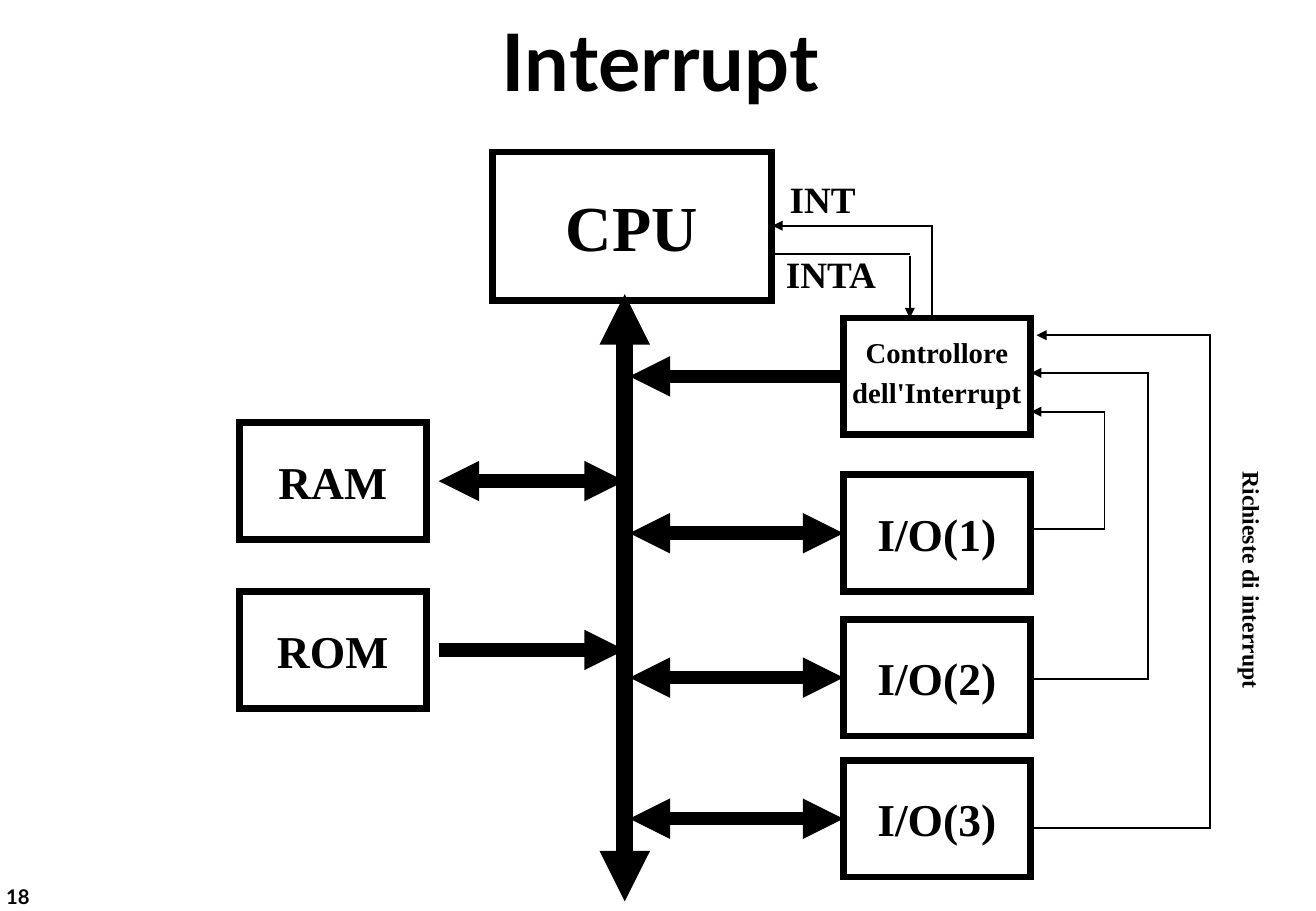
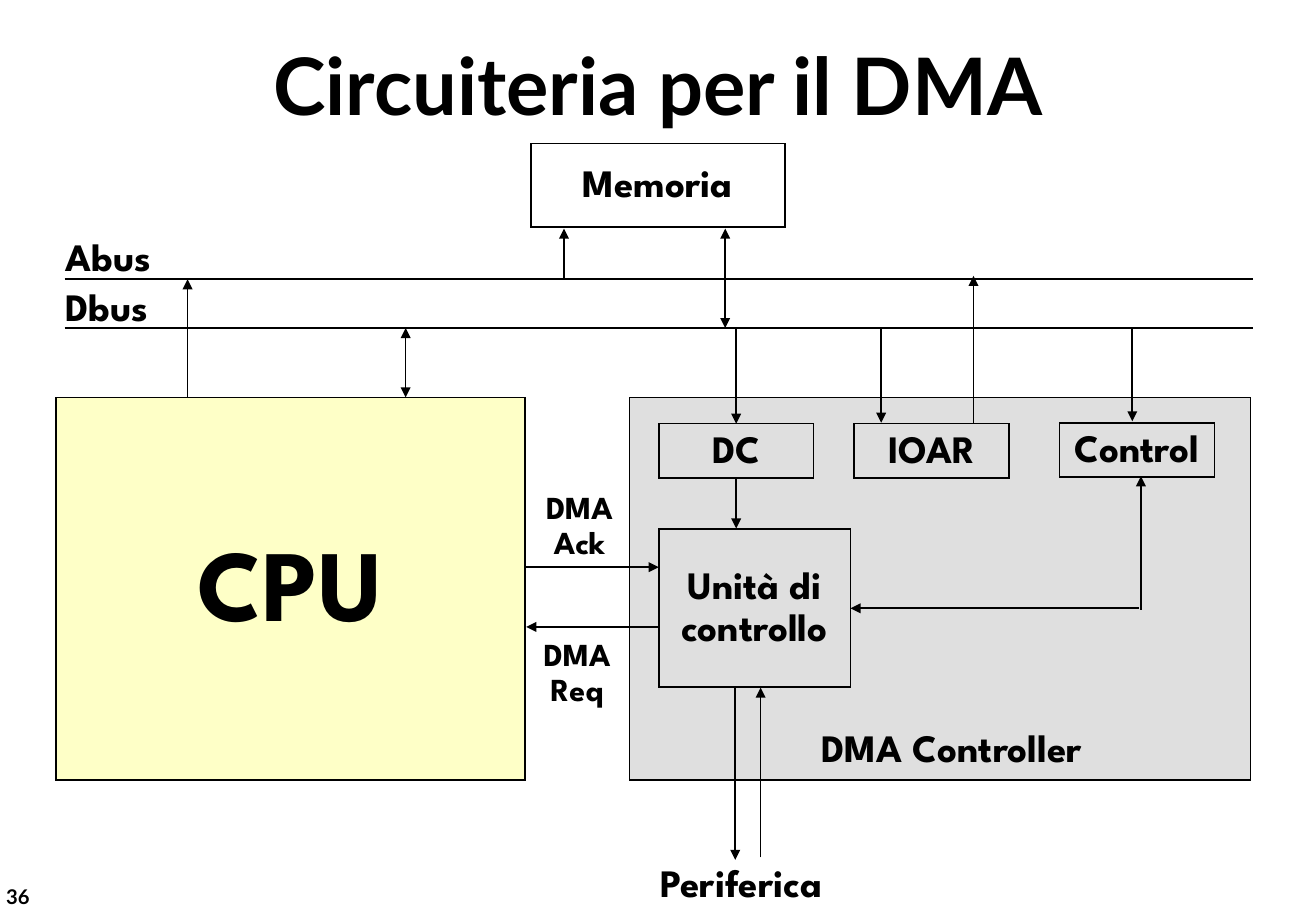
from pptx import Presentation
from pptx.dml.color import RGBColor
from pptx.enum.shapes import MSO_CONNECTOR, MSO_SHAPE
from pptx.enum.text import MSO_ANCHOR, PP_ALIGN
from pptx.oxml.ns import qn
from pptx.util import Cm, Pt
from lxml.etree import SubElement

COLORS = {"ink": "000000", "cpu": "FEFFC7", "controller": "DFDFDF"}
SANS, SERIF, DIAGRAM = "Lato", "Times New Roman", "League Spartan"
TOP, LEFT, BOTTOM, RIGHT = range(4)
NARROW, WIDE = (0.13, 0.05), (0.25, 0.13)

# Interrupt slide: positions in cm
BLOCK_WIDTH, BLOCK_HEIGHT = 3.91, 2.44
MEMORY_LEFT, DEVICE_LEFT = 5, 17.63
MEMORIES = {"RAM": 8.84, "ROM": 12.37}
CONTROLLER = "Controllore\ndell'Interrupt"
DEVICES = {CONTROLLER: 6.65, "I/O(1)": 9.93, "I/O(2)": 12.95, "I/O(3)": 15.9}
BUS_X = 13.06
ARROW_ENDS = {"RAM": "both", "ROM": "end", CONTROLLER: "start",
              "I/O(1)": "both", "I/O(2)": "both", "I/O(3)": "both"}
# start x, start y, outer x, end y, end x
REQUESTS = [
    (21.6, 11.07, 23.09, 8.61, 21.56),
    (21.51, 14.2, 24, 7.8, 21.56),
    (21.59, 17.32, 25.3, 7.01, 21.67),
]
INT_PATH = [(19.48, 6.63), (19.48, 4.72), (16.15, 4.72)]
INTERRUPT_LABELS = [
    ("INT", (16.26, 3.56, 4.24, 1.17), 22),
    ("INTA", (16.18, 5.13, 4.24, 1.17), 22),
]

# DMA slide: text, (left, top, width, height) in cm, size, fill
DMA_BOXES = [
    ("", (13.16, 8.31, 12.98, 8), 23, "controller"),
    ("CPU", (1.17, 8.31, 9.8, 8), 60, "cpu"),
    ("Memoria", (11.1, 3, 5.31, 1.75), 23, None),
    ("DC", (13.77, 8.86, 3.24, 1.14), 23, None),
    ("IOAR", (17.86, 8.86, 3.24, 1.14), 23, None),
    ("Control", (22.15, 8.84, 3.24, 1.14), 23, None),
    ("Unità di\vcontrollo", (13.77, 11.07, 4.01, 3.3), 23, None),
]
DMA_LABELS = [
    ("Abus", (1.12, 4.85, 2.51, 1.12), 23),
    ("Dbus", (1.12, 5.89, 2.51, 1.12), 23),
    ("Periferica", (13.56, 17.93, 4.19, 1.12), 23),
    ("DMA Controller", (16.92, 15.11, 6.55, 1.12), 23),
    ("DMA\vAck", (11.1, 10.16, 2.03, 1.7), 19),
    ("DMA\vReq", (11.05, 13.23, 2.03, 1.7), 19),
]
ABUS_Y, DBUS_Y = 5.84, 6.86
# each end is a point in cm or (box text, connection site)
DMA_LINES = [
    ((1.35, ABUS_Y), (26.19, ABUS_Y), None),
    ((1.35, DBUS_Y), (26.19, DBUS_Y), None),
    ((11.79, ABUS_Y), (11.79, 4.78), "end"),
    ((15.16, 4.78), (15.16, DBUS_Y), "both"),
    ((3.92, 8.31), (3.92, ABUS_Y), "end"),
    ((8.48, 8.31), (8.48, DBUS_Y), "both"),
    ((15.39, DBUS_Y), ("DC", TOP), "end"),
    (("DC", BOTTOM), (15.39, 11.05), "end"),
    ((18.42, DBUS_Y), (18.42, 8.84), "end"),
    ((20.35, 8.86), (20.35, 5.77), "end"),
    ((23.67, DBUS_Y), (23.67, 8.81), "end"),
    ((23.85, 12.75), (23.85, 9.96), "end"),
    ((23.8, 12.72), ("Unità di\vcontrollo", RIGHT), "end"),
    ((11, 11.86), (13.77, 11.86), "end"),
    ((13.77, 13.11), (11, 13.11), "end"),
    ((15.37, 14.38), (15.37, 17.98), "end"),
    ((15.9, 17.93), (15.9, 14.38), "end"),
]


def color(name):
    return RGBColor.from_string(COLORS[name])


def write(shape, text, size, font, align=PP_ALIGN.LEFT, inset=WIDE, spacing=None, after=0,
          wrap=False):
    frame = shape.text_frame
    frame.text = text
    frame.word_wrap = wrap
    frame.margin_left = frame.margin_right = Cm(inset[0])
    frame.margin_top = frame.margin_bottom = Cm(inset[1])
    for paragraph in frame.paragraphs:
        paragraph.alignment = align
        paragraph.space_after = Pt(after)
        if spacing:
            paragraph.line_spacing = spacing
        for run in paragraph.runs:
            run.font.name, run.font.size, run.font.bold = font, Pt(size), True
            run.font.color.rgb = color("ink")


def add_label(slide, text, place, size, font, **style):
    label = slide.shapes.add_textbox(*map(Cm, place))
    write(label, text, size, font, **style)
    return label


def style_line(shape, width, arrows=None):
    """Set a black line with sharp corners and arrowheads at start, end or both."""
    shape.line.color.rgb = color("ink")
    shape.line.width = Pt(width)
    line = shape._element.spPr.find(qn("a:ln"))
    SubElement(line, qn("a:miter"), lim="800000")
    for tag, names in (("a:headEnd", ("start", "both")), ("a:tailEnd", ("end", "both"))):
        if arrows in names:
            SubElement(line, qn(tag), type="triangle")


def add_box(slide, text, place, size, font, line_width, fill=None, **style):
    box = slide.shapes.add_shape(MSO_SHAPE.RECTANGLE, *map(Cm, place))
    box.shadow.inherit = False
    if fill:
        box.fill.solid()
        box.fill.fore_color.rgb = color(fill)
    else:
        box.fill.background()
    style_line(box, line_width)
    if text:
        write(box, text, size, font, align=PP_ALIGN.CENTER, **style)
        box.text_frame.vertical_anchor = MSO_ANCHOR.MIDDLE
    return box


def locate(end, boxes):
    """Return the point of a line end, plus the box and site it joins, if any."""
    if end[0] not in boxes:
        return Cm(end[0]), Cm(end[1]), None
    box, site = boxes[end[0]], end[1]
    x = box.left + {LEFT: 0, RIGHT: box.width}.get(site, box.width // 2)
    y = box.top + {TOP: 0, BOTTOM: box.height}.get(site, box.height // 2)
    return x, y, (box, site)


def add_line(slide, start, end, width, arrows=None, boxes=()):
    start_x, start_y, start_joint = locate(start, boxes)
    end_x, end_y, end_joint = locate(end, boxes)
    line = slide.shapes.add_connector(MSO_CONNECTOR.STRAIGHT, start_x, start_y, end_x, end_y)
    if start_joint:
        line.begin_connect(*start_joint)
    if end_joint:
        line.end_connect(*end_joint)
    style_line(line, width, arrows)
    SubElement(line._element.spPr, qn("a:effectLst"))


def add_path(slide, points):
    first, *others = [(Cm(x), Cm(y)) for x, y in points]
    builder = slide.shapes.build_freeform(*first)
    builder.add_line_segments(others, close=False)
    path = builder.convert_to_shape()
    path.shadow.inherit = False
    path.fill.background()
    style_line(path, 1, "end")


def add_slide(presentation, title, title_place, number):
    slide = presentation.slides.add_slide(presentation.slide_layouts[6])
    add_label(slide, number, (0, 18.44, 0.76, 0.61), 12, SANS, inset=NARROW)
    add_label(slide, title, title_place, 47, SANS, align=PP_ALIGN.CENTER, inset=NARROW)
    return slide


def build_interrupt(presentation):
    slide = add_slide(presentation, "Interrupt", (10.31, 0.2, 6.99, 2.08), "18")
    add_box(slide, "CPU", (10.29, 3.18, 5.84, 3.1), 38, SERIF, 4)
    boxes = {}
    for left, column in ((MEMORY_LEFT, MEMORIES), (DEVICE_LEFT, DEVICES)):
        for text, top in column.items():
            style = {"spacing": 0.7, "after": 9} if text == CONTROLLER else {}
            boxes[text] = add_box(slide, text, (left, top, BLOCK_WIDTH, BLOCK_HEIGHT),
                                  17 if style else 27, SERIF, 4, **style)
    add_line(slide, (BUS_X, 6.15), (BUS_X, 18.85), 10, "both")
    for text, top in MEMORIES.items():
        middle = top + BLOCK_HEIGHT / 2
        add_line(slide, (9.17, middle), (BUS_X, middle), 8, ARROW_ENDS[text])
    for text, top in DEVICES.items():
        start = (BUS_X + 0.1, top + BLOCK_HEIGHT / 2)
        add_line(slide, start, (text, LEFT), 8, ARROW_ENDS[text], boxes)
    for start_x, start_y, outer_x, end_y, end_x in REQUESTS:
        add_path(slide, [(start_x, start_y), (outer_x, start_y), (outer_x, end_y), (end_x, end_y)])
    add_path(slide, INT_PATH)
    add_line(slide, (16.05, 5.31), (19.02, 5.31), 1)
    add_line(slide, (19.02, 5.36), (19.02, 6.65), 1, "end")
    for text, place, size in INTERRUPT_LABELS:
        add_label(slide, text, place, size, SERIF, wrap=True)
    requests = add_label(slide, "Richieste di interrupt", (25.6, 9.73, 1.12, 4.83), 14, SERIF)
    requests.text_frame._txBody.bodyPr.set("vert", "eaVert")


def build_dma(presentation):
    slide = add_slide(presentation, "Circuiteria per il DMA", (5.46, 0.71, 16.59, 2.08), "36")
    boxes = {text: add_box(slide, text, place, size, DIAGRAM, 1, fill, spacing=0.9)
             for text, place, size, fill in DMA_BOXES}
    for start, end, arrows in DMA_LINES:
        add_line(slide, start, end, 1, arrows, boxes)
    for text, place, size in DMA_LABELS:
        align = PP_ALIGN.CENTER if "\v" in text else PP_ALIGN.LEFT
        add_label(slide, text, place, size, DIAGRAM, align=align, spacing=0.9)


def main():
    presentation = Presentation()
    presentation.slide_width, presentation.slide_height = Cm(27.51), Cm(19.05)
    build_interrupt(presentation)
    build_dma(presentation)
    presentation.save("out.pptx")


if __name__ == "__main__":
    main()
